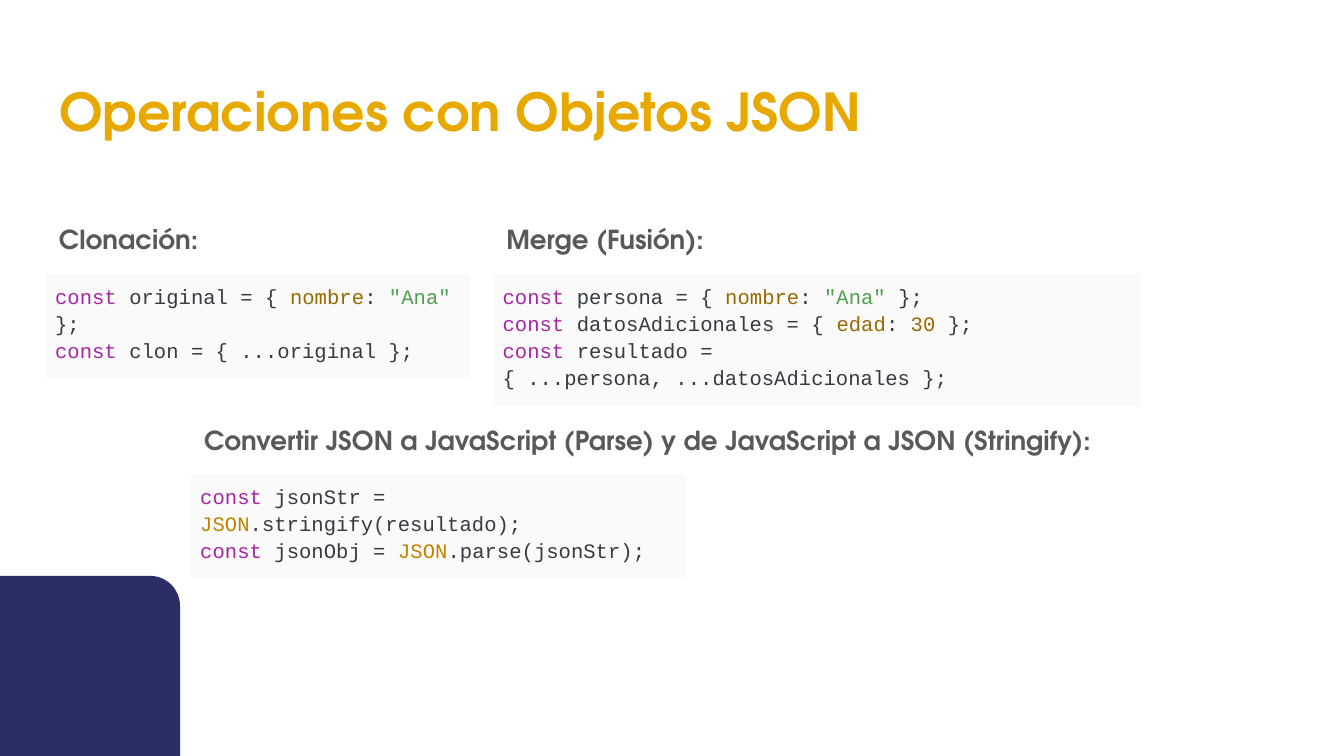
from lxml import etree
from pptx import Presentation
from pptx.dml.color import RGBColor
from pptx.enum import shapes, text
from pptx.oxml import ns
from pptx.util import Inches, Pt

GOLD = RGBColor(0xE7, 0xA9, 0x00)
NAVY = RGBColor(0x2A, 0x2E, 0x65)
GRAY = RGBColor(0x59, 0x59, 0x59)
PALE = RGBColor(0xFA, 0xFA, 0xFA)
INK = RGBColor(0x38, 0x3A, 0x42)
PURPLE = RGBColor(0xA6, 0x26, 0xA4)
BROWN = RGBColor(0x98, 0x68, 0x01)
GREEN = RGBColor(0x50, 0xA1, 0x4F)
AMBER = RGBColor(0xC1, 0x84, 0x01)

SANS = "TeX Gyre Adventor"
MONO = "Courier New"

CONST = ("const", PURPLE)
NAME = [("nombre", BROWN), (": ", INK), ('"Ana"', GREEN), (" };", INK)]
JSON = ("JSON", AMBER)

CLONE = [
    [CONST, (" original = { ", INK), *NAME],
    [CONST, (" clon = { ...original };", INK)],
]
MERGE = [
    [CONST, (" persona = { ", INK), *NAME],
    [CONST, (" datosAdicionales = { ", INK), ("edad", BROWN), (": ", INK),
     ("30", BROWN), (" };", INK)],
    [CONST, (" resultado = { ...persona, ...datosAdicionales };", INK)],
]
PARSE = [
    [CONST, (" jsonStr = ", INK), JSON, (".stringify(resultado);", INK)],
    [CONST, (" jsonObj = ", INK), JSON, (".parse(jsonStr);", INK)],
]


class Deck:
    def __init__(self):
        self.prs = Presentation()
        self.prs.slide_width = Inches(10)
        self.prs.slide_height = Inches(10) * 9 // 16
        self.slide = self.prs.slides.add_slide(self.prs.slide_layouts[5])

    def run(self, para, words, font, size, color, bold=False):
        run = para.add_run()
        run.text = words
        run.font.name = font
        run.font.size = Pt(size)
        run.font.bold = bold
        run.font.color.rgb = color

    def frame(self, shape):
        frame = shape.text_frame
        frame.word_wrap = True
        frame.auto_size = text.MSO_AUTO_SIZE.NONE
        frame.vertical_anchor = text.MSO_ANCHOR.TOP
        frame.margin_left = frame.margin_right = Inches(0.1)
        frame.margin_top = frame.margin_bottom = Inches(0.1)
        para = frame.paragraphs[0]
        para.alignment = text.PP_ALIGN.LEFT
        return para

    def title(self, words, x, y, w, h):
        shape = self.slide.shapes.title
        shape.left, shape.top = Inches(x), Inches(y)
        shape.width, shape.height = Inches(w), Inches(h)
        self.run(self.frame(shape), words, SANS, 28, GOLD, True)

    def corner(self, size):
        side = Inches(size)
        shape = self.slide.shapes.add_shape(
            shapes.MSO_SHAPE.ROUND_1_RECTANGLE,
            0, self.prs.slide_height - side, side, side)
        shape.shadow.inherit = False
        shape.fill.solid()
        shape.fill.fore_color.rgb = NAVY
        shape.line.fill.background()

    def label(self, words, x, y, w):
        box = self.slide.shapes.add_textbox(
            Inches(x), Inches(y), Inches(w), Inches(0.44))
        para = self.frame(box)
        para.line_spacing = 1.15
        para.space_after = Pt(12)
        self.run(para, words, SANS, 14, GRAY, True)

    def code(self, lines, x, y, w, h):
        table = self.slide.shapes.add_table(
            1, 1, Inches(x), Inches(y), Inches(w), Inches(h)).table
        table.first_row = table.horz_banding = False
        cell = table.cell(0, 0)
        cell.margin_left = cell.margin_right = Inches(0.07)
        cell.margin_top = cell.margin_bottom = Inches(0.07)
        props = cell._tc.get_or_add_tcPr()
        for side in ("lnL", "lnR", "lnT", "lnB"):
            edge = etree.SubElement(props, ns.qn("a:" + side))
            etree.SubElement(edge, ns.qn("a:noFill"))
        cell.fill.solid()
        cell.fill.fore_color.rgb = PALE
        para = cell.text_frame.paragraphs[0]
        para.line_spacing = 1.15
        for i, line in enumerate(lines):
            if i:
                para.add_line_break()
            for words, color in line:
                self.run(para, words, MONO, 11, color)

    def block(self, head, lines, x, y, wide, w, h):
        self.label(head, x, y, wide)
        self.code(lines, x, y + 0.51, w, h)


def main():
    deck = Deck()
    deck.corner(1.34)
    deck.title("Operaciones con Objetos JSON", 0.34, 0.49, 9.32, 1.05)
    deck.block("Clonación:", CLONE, 0.34, 1.53, 3.16, 3.16, 0.77)
    deck.block("Merge (Fusión):", MERGE, 3.67, 1.53, 3.16, 4.81, 0.98)
    deck.block(
        "Convertir JSON a JavaScript (Parse) y de JavaScript a JSON (Stringify):",
        PARSE, 1.42, 3.02, 8.24, 3.68, 0.77)
    deck.prs.save("out.pptx")


if __name__ == "__main__":
    main()
